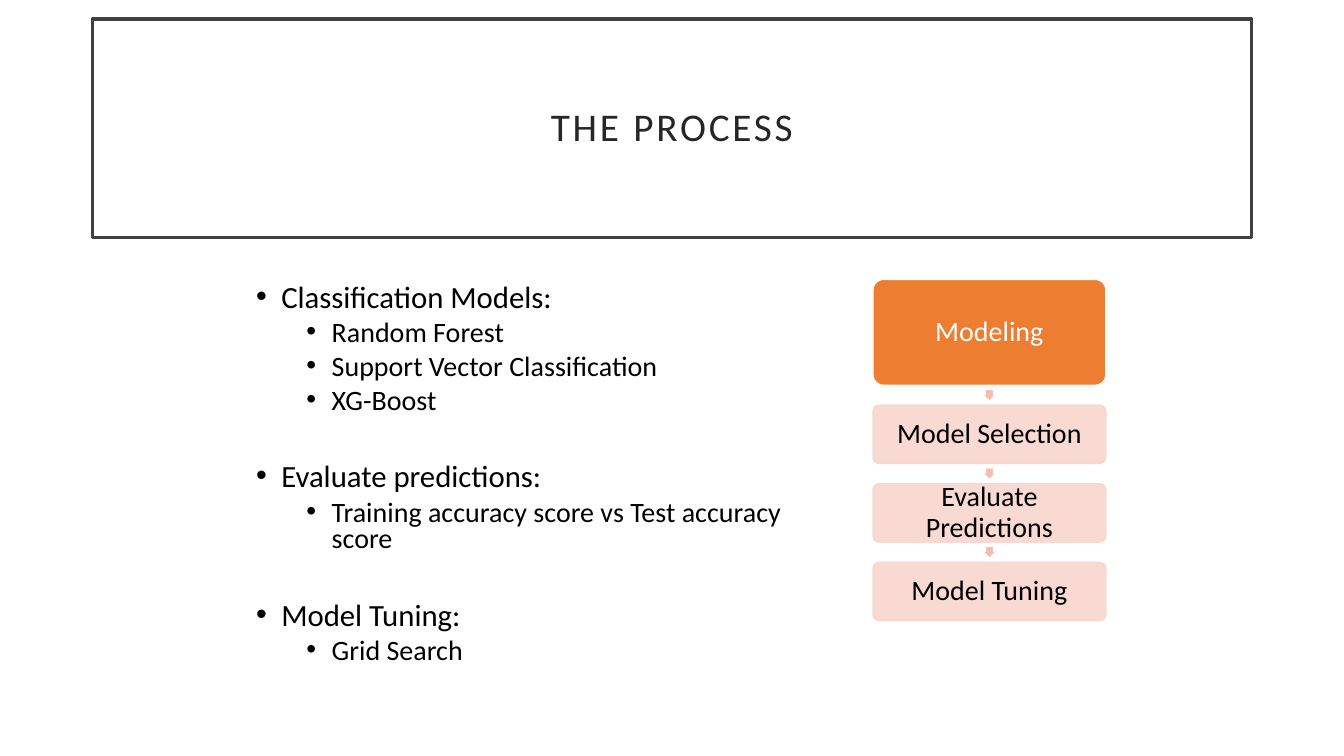
from dataclasses import dataclass

from pptx import Presentation
from pptx.dml.color import RGBColor
from pptx.enum.shapes import MSO_SHAPE
from pptx.enum.text import MSO_ANCHOR, MSO_AUTO_SIZE, PP_ALIGN
from pptx.oxml import parse_xml
from pptx.oxml.ns import nsdecls, qn
from pptx.util import Cm, Pt

ROUND = MSO_SHAPE.ROUNDED_RECTANGLE
ARROW = MSO_SHAPE.RIGHT_ARROW
MIDDLE = MSO_ANCHOR.MIDDLE
FIXED = MSO_AUTO_SIZE.NONE
LEFT = PP_ALIGN.LEFT
CENTER = PP_ALIGN.CENTER

WHITE = RGBColor(0xFF, 0xFF, 0xFF)
BLACK = RGBColor(0x00, 0x00, 0x00)
INK = RGBColor(0x26, 0x26, 0x26)
FRAME = RGBColor(0x40, 0x40, 0x40)
ORANGE = RGBColor(0xED, 0x7D, 0x31)
PEACH = RGBColor(0xF8, 0xD7, 0xCE)
CORAL = RGBColor(0xF4, 0xBF, 0xAE)

FONT = "Calibri"
STEP_X, STEP_W = 22.0, 5.87
STEP_Y, STEP_H, PITCH = 10.21, 1.47, 1.98
TIP, TIP_GAP = 0.25, 0.38


@dataclass
class Step:
    text: str
    top: float
    height: float
    fill: RGBColor
    line: RGBColor
    ink: RGBColor
    alpha: int = 100


@dataclass
class Item:
    text: str
    level: int = 0
    before: float = 5


ITEMS = [
    Item("Classification Models:", before=10),
    Item("Random Forest", 1),
    Item("Support Vector Classification", 1),
    Item("XG-Boost", 1),
    Item("Evaluate predictions:", before=34.5),
    Item("Training accuracy score vs Test accuracy score", 1),
    Item("Model Tuning:", before=34.5),
    Item("Grid Search", 1),
]
STEPS = [Step("Modeling", 7.04, 2.67, ORANGE, WHITE, WHITE)] + [
    Step(text, STEP_Y + row * PITCH, STEP_H, PEACH, PEACH, BLACK, 90)
    for row, text in enumerate(
        ["Model Selection", "Evaluate Predictions", "Model Tuning"])
]


def place(shape, left: float, top: float, width: float, height: float) -> None:
    shape.left, shape.top = Cm(left), Cm(top)
    shape.width, shape.height = Cm(width), Cm(height)


def pad(frame, gap: float) -> None:
    frame.margin_left = frame.margin_right = Cm(gap)
    frame.margin_top = frame.margin_bottom = Cm(gap)
    frame.vertical_anchor = MIDDLE
    frame.word_wrap = True
    frame.auto_size = FIXED


def style(para, size: float, ink: RGBColor, align, lead: float) -> None:
    para.alignment = align
    para.line_spacing = lead
    for run in para.runs:
        run.font.name = FONT
        run.font.size = Pt(size)
        run.font.color.rgb = ink


def draw_title(shape) -> None:
    place(shape, 2.33, 0.48, 29.21, 5.51)
    shape.fill.solid()
    shape.fill.fore_color.rgb = WHITE
    shape.line.color.rgb = FRAME
    shape.line.width = Pt(2.5)
    frame = shape.text_frame
    frame.text = "THE PROCESS"
    pad(frame, 0.51)
    para = frame.paragraphs[0]
    style(para, 28, INK, CENTER, 0.9)
    para.runs[0].font._element.set("spc", "200")


def draw_list(shape, items: list[Item]) -> None:
    place(shape, 6.2, 7.04, 14.81, 10.21)
    frame = shape.text_frame
    frame.word_wrap = True
    frame.auto_size = FIXED
    frame.text = "\n".join(item.text for item in items)
    for para, item in zip(frame.paragraphs, items):
        para.level = item.level
        para.space_before = Pt(item.before)
        style(para, 22 - 2 * item.level, BLACK, LEFT, 0.8)
        props = para._p.get_or_add_pPr()
        props.set("marL", str(Cm(0.635 + 1.27 * item.level)))
        props.set("indent", str(-Cm(0.635)))
        props.append(parse_xml(f'<a:buFont {nsdecls("a")} typeface="Arial"/>'))
        props.append(parse_xml(f'<a:buChar {nsdecls("a")} char="•"/>'))


def draw_step(slide, step: Step) -> None:
    shape = slide.shapes.add_shape(
        ROUND, Cm(STEP_X), Cm(step.top), Cm(STEP_W), Cm(step.height))
    shape.adjustments[0] = 0.1
    shape.shadow.inherit = False
    shape.fill.solid()
    shape.fill.fore_color.rgb = step.fill
    shape.line.color.rgb = step.line
    shape.line.width = Pt(1)
    if step.alpha < 100:
        for tone in shape.element.spPr.iter(qn("a:srgbClr")):
            tone.append(parse_xml(
                f'<a:alpha {nsdecls("a")} val="{step.alpha * 1000}"/>'))
    frame = shape.text_frame
    frame.text = step.text
    pad(frame, 0.13)
    style(frame.paragraphs[0], 20, step.ink, CENTER, 0.9)


def draw_arrow(slide, step: Step) -> None:
    left = STEP_X + (STEP_W - TIP) / 2
    shape = slide.shapes.add_shape(
        ARROW, Cm(left), Cm(step.top - TIP_GAP), Cm(TIP), Cm(TIP))
    shape.adjustments[0] = 0.67
    shape.adjustments[1] = 0.5
    shape.rotation = 90
    shape.shadow.inherit = False
    shape.fill.solid()
    shape.fill.fore_color.rgb = CORAL
    shape.line.fill.background()


def main() -> None:
    deck = Presentation()
    deck.slide_width, deck.slide_height = Cm(33.87), Cm(19.05)
    slide = deck.slides.add_slide(deck.slide_layouts[1])
    draw_title(slide.shapes.title)
    draw_list(slide.placeholders[1], ITEMS)
    for step in STEPS:
        draw_step(slide, step)
    for step in STEPS[1:]:
        draw_arrow(slide, step)
    deck.save("out.pptx")


if __name__ == "__main__":
    main()
